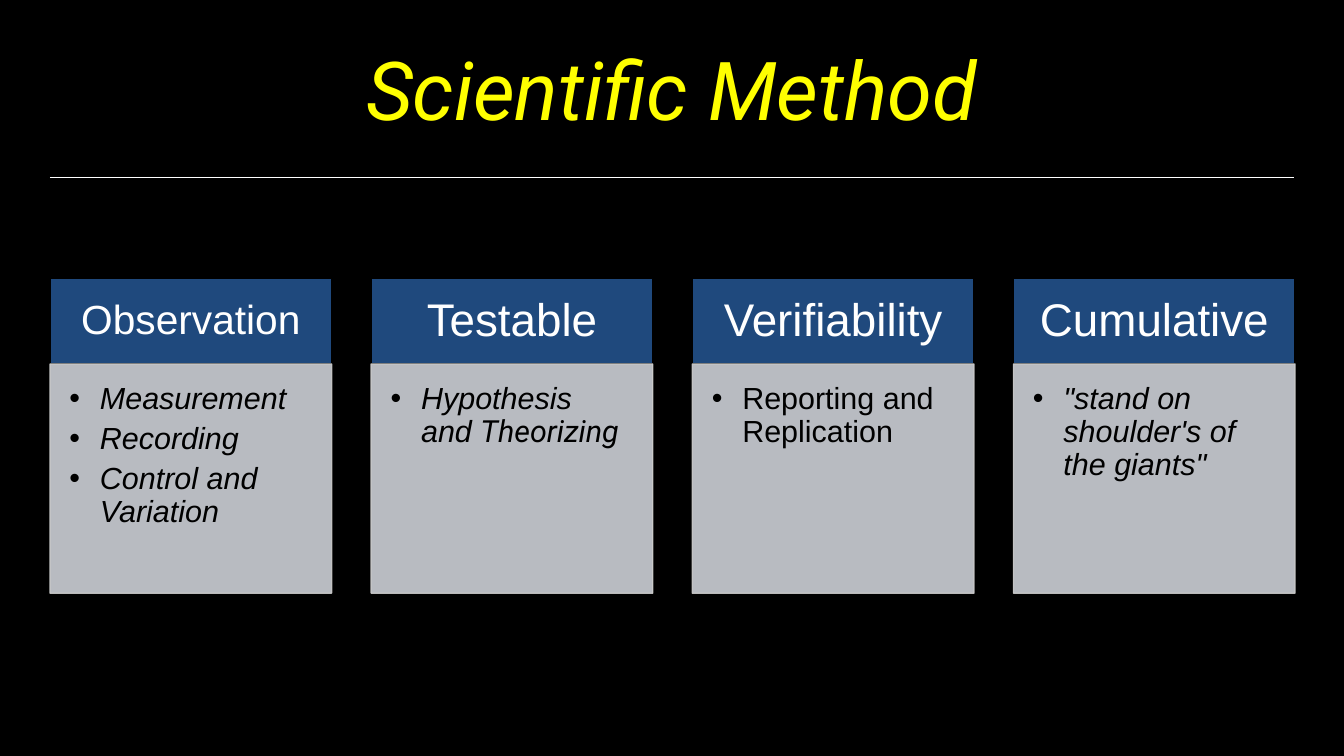
from lxml import etree
from pptx import Presentation
from pptx.dml.color import RGBColor
from pptx.enum import shapes, text
from pptx.oxml import ns
from pptx.util import Pt

# Content: heading, heading size, bullets as lists of (words, font, italic)
TITLE = "Scientific Method"
CARDS = [
    ("Observation", 24, [[("Measurement", "Arial", True)],
                         [("Recording", "Arial", True)],
                         [("Control and Variation", "Arial", True)]]),
    ("Testable", 27, [[("Hypothesis and ", "Arial", True),
                       ("Theorizing", "Roboto", True)]]),
    ("Verifiability", 27, [[("Reporting and Replication", "Arial", False)]]),
    ("Cumulative", 27, [[("\"stand on shoulder's of the giants\"", "Arial", True)]]),
]

# Colours
BLACK = RGBColor(0, 0, 0)
WHITE = RGBColor(255, 255, 255)
YELLOW = RGBColor(255, 255, 0)
NAVY = RGBColor(0x1F, 0x49, 0x7D)
GREY = RGBColor(0xCD, 0xD0, 0xD7)
EDGE = RGBColor(0xCC, 0xCC, 0xCC)

# Layout in points
WIDE, HIGH = 793.44, 446.4
LEFT, CARD, STEP = 29.5, 166.3, 189.6
TOP, HEAD, BODY = 164.5, 50.4, 135.4
RULE = 104.6

MID, BASE = text.MSO_ANCHOR.MIDDLE, text.MSO_ANCHOR.BOTTOM


def style(item, vals):
    for key, val in vals.items():
        setattr(item, key, val)


def frame(shape, pads, anchor):
    box = shape.text_frame
    sides = ("margin_left", "margin_top", "margin_right", "margin_bottom")
    style(box, dict(zip(sides, map(Pt, pads))))
    style(box, {"word_wrap": True, "vertical_anchor": anchor})
    return box


def write(para, runs, size, color, align, after=0):
    style(para, {"alignment": align, "line_spacing": 0.9, "space_after": Pt(after)})
    for words, font, slant in runs:
        run = para.add_run()
        run.text = words
        style(run.font, {"name": font, "size": Pt(size), "italic": slant})
        run.font.color.rgb = color


def panel(left, top, high, fill, line):
    box = slide.shapes.add_shape(shapes.MSO_SHAPE.RECTANGLE,
                                 Pt(left), Pt(top), Pt(CARD), Pt(high))
    box.shadow.inherit = False
    box.fill.solid()
    box.fill.fore_color.rgb = fill
    box.line.color.rgb = line
    box.line.width = Pt(0.75)
    return box


def add(node, tag, **vals):
    return etree.SubElement(node, ns.qn(tag), vals)


def bullet(para):
    props = para._p.get_or_add_pPr()
    props.set("marL", str(Pt(18)))
    props.set("indent", str(Pt(-18)))
    add(add(props, "a:buClr"), "a:srgbClr", val=str(BLACK))
    add(props, "a:buFont", typeface="Arial")
    add(props, "a:buChar", char="•")


deck = Presentation()
style(deck, {"slide_width": Pt(WIDE), "slide_height": Pt(HIGH)})
slide = deck.slides.add_slide(deck.slide_layouts[6])
slide.background.fill.solid()
slide.background.fill.fore_color.rgb = BLACK

# Title and rule
title = slide.shapes.add_textbox(Pt(28.8), Pt(25.2), Pt(735.84), Pt(56.2))
write(frame(title, (0, 0, 0, 0), BASE).paragraphs[0],
      [(TITLE, "Roboto", True)], 48, YELLOW, text.PP_ALIGN.CENTER)
rule = slide.shapes.add_connector(shapes.MSO_CONNECTOR.STRAIGHT,
                                  Pt(LEFT), Pt(RULE), Pt(WIDE - LEFT), Pt(RULE))
rule.line.color.rgb = WHITE
rule.line.width = Pt(0.5)
add(rule._element.spPr, "a:effectLst")

# Cards
for col, (name, size, points) in enumerate(CARDS):
    left = LEFT + col * STEP
    head = panel(left, TOP, HEAD, NAVY, BLACK)
    write(frame(head, (15, 8.6, 15, 8.6), MID).paragraphs[0],
          [(name, "Arial", False)], size, WHITE, text.PP_ALIGN.CENTER, 9.4)

    body = panel(left, TOP + HEAD, BODY, GREY, EDGE)
    for tint in body._element.spPr.iter(ns.qn("a:srgbClr")):
        add(tint, "a:alpha", val="90000")
    box = frame(body, (11.5, 11.5, 15, 17.3), text.MSO_ANCHOR.TOP)
    for row, runs in enumerate(points):
        para = box.add_paragraph() if row else box.paragraphs[0]
        write(para, runs, 18, BLACK, text.PP_ALIGN.LEFT, 4)
        bullet(para)

deck.save("out.pptx")
